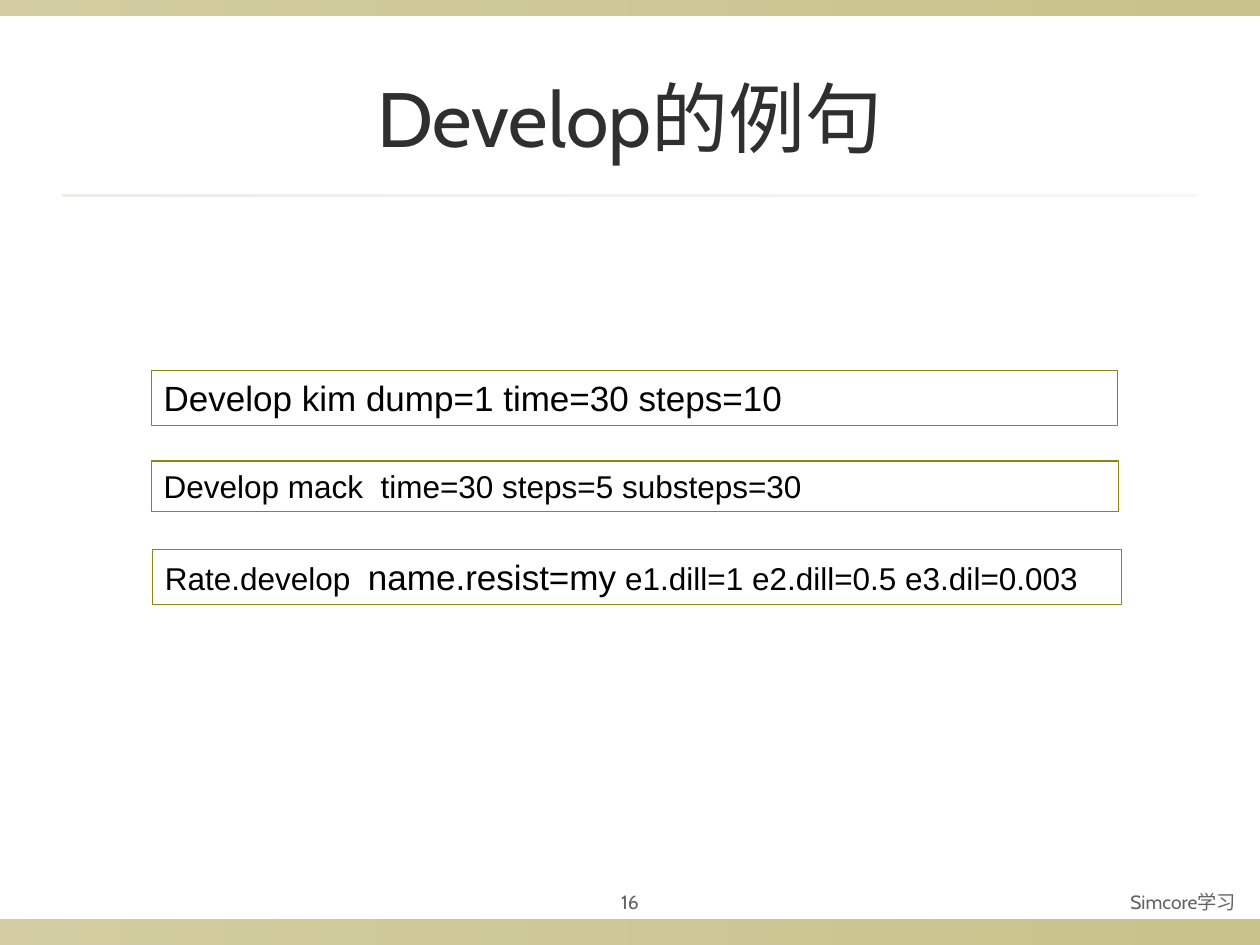
from lxml.etree import SubElement
from pptx import Presentation
from pptx.dml.color import RGBColor
from pptx.enum.shapes import MSO_SHAPE as Shape
from pptx.enum.text import MSO_ANCHOR as Anchor, MSO_AUTO_SIZE as AutoSize, PP_ALIGN as Align
from pptx.oxml.ns import qn
from pptx.util import Inches, Pt

OLIVE = RGBColor(0x91, 0x84, 0x15)
SAND = RGBColor(0xDC, 0xD9, 0xCC)
DARK = RGBColor(0x2F, 0x2F, 0x2F)
GREY = RGBColor(0x63, 0x63, 0x63)
BLACK = RGBColor(0, 0, 0)

# left, top, width, height, colour, opacity percent at each end
BARS = [
    (0, 7.3, 10, 0.2, OLIVE, (40, 50)),
    (0, 0, 10, 0.12, OLIVE, (40, 50)),
    (0.5, 1.54, 9, 0.02, SAND, (50, 20)),
]

# left, top, width, height, runs of (text, size)
STATEMENTS = [
    (1.2, 2.94, 7.67, 0.44, [("Develop kim dump=1 time=30 steps=10", 20)]),
    (1.2, 3.66, 7.68, 0.4, [("Develop mack  time=30 steps=5 substeps=30", 18)]),
    (1.21, 4.36, 7.69, 0.44, [
        ("Rate.develop  ", 18),
        ("name.resist=my", 20),
        (" e1.dill=1 e2.dill=0.5 e3.dil=0.003", 18),
    ]),
]


def add_run(para, text, size, font, color):
    run = para.add_run()
    run.text = text
    run.font.size = Pt(size)
    run.font.name = font
    run.font.color.rgb = color


def set_title(slide, text):
    title = slide.shapes.title
    title.left, title.top = Inches(0.5), Inches(0.3)
    title.width, title.height = Inches(9), Inches(1.25)
    title.text_frame.vertical_anchor = Anchor.MIDDLE
    para = title.text_frame.paragraphs[0]
    para.alignment = Align.CENTER
    add_run(para, text, 44, "Cabin", DARK)


def add_rectangle(slide, left, top, width, height):
    box = slide.shapes.add_shape(
        Shape.RECTANGLE, Inches(left), Inches(top), Inches(width), Inches(height))
    box.shadow.inherit = False
    return box


def add_bar(slide, left, top, width, height, color, opacities):
    bar = add_rectangle(slide, left, top, width, height)
    bar.line.fill.background()
    bar.fill.gradient()
    bar.fill.gradient_angle = 0
    for stop, position, opacity in zip(bar.fill.gradient_stops, (0, 1), opacities):
        stop.position = position
        stop.color.rgb = color
    # Transparency of each stop
    for element, opacity in zip(bar.element.spPr.iter(qn("a:srgbClr")), opacities):
        SubElement(element, qn("a:alpha")).set("val", str(opacity * 1000))


def add_statement(slide, left, top, width, height, runs):
    box = add_rectangle(slide, left, top, width, height)
    box.fill.background()
    box.line.color.rgb = OLIVE
    box.line.width = Pt(0.75)
    frame = box.text_frame
    frame.word_wrap = True
    frame.auto_size = AutoSize.SHAPE_TO_FIT_TEXT
    frame.vertical_anchor = Anchor.TOP
    para = frame.paragraphs[0]
    para.alignment = Align.LEFT
    for text, size in runs:
        add_run(para, text, size, "Arial", BLACK)


def add_footer(slide, left, width, text, align, side_inset):
    box = slide.shapes.add_textbox(Inches(left), Inches(7), Inches(width), Inches(0.31))
    frame = box.text_frame
    frame.word_wrap = True
    frame.vertical_anchor = Anchor.MIDDLE
    frame.margin_left = frame.margin_right = Inches(side_inset)
    para = frame.paragraphs[0]
    para.alignment = align
    add_run(para, text, 11, "Cabin", GREY)


def main():
    deck = Presentation()
    deck.slide_width, deck.slide_height = Inches(10), Inches(7.5)
    slide = deck.slides.add_slide(deck.slide_layouts[5])

    # Bands and the rule under the title
    for bar in BARS:
        add_bar(slide, *bar)

    set_title(slide, "Develop的例句")

    # Footer and page number
    add_footer(slide, 5.83, 4.08, "Simcore学习", Align.RIGHT, 0.1)
    add_footer(slide, 4.5, 1, "16", Align.CENTER, 0.05)

    # Example statements
    for statement in STATEMENTS:
        add_statement(slide, *statement)

    deck.save("out.pptx")


if __name__ == "__main__":
    main()
